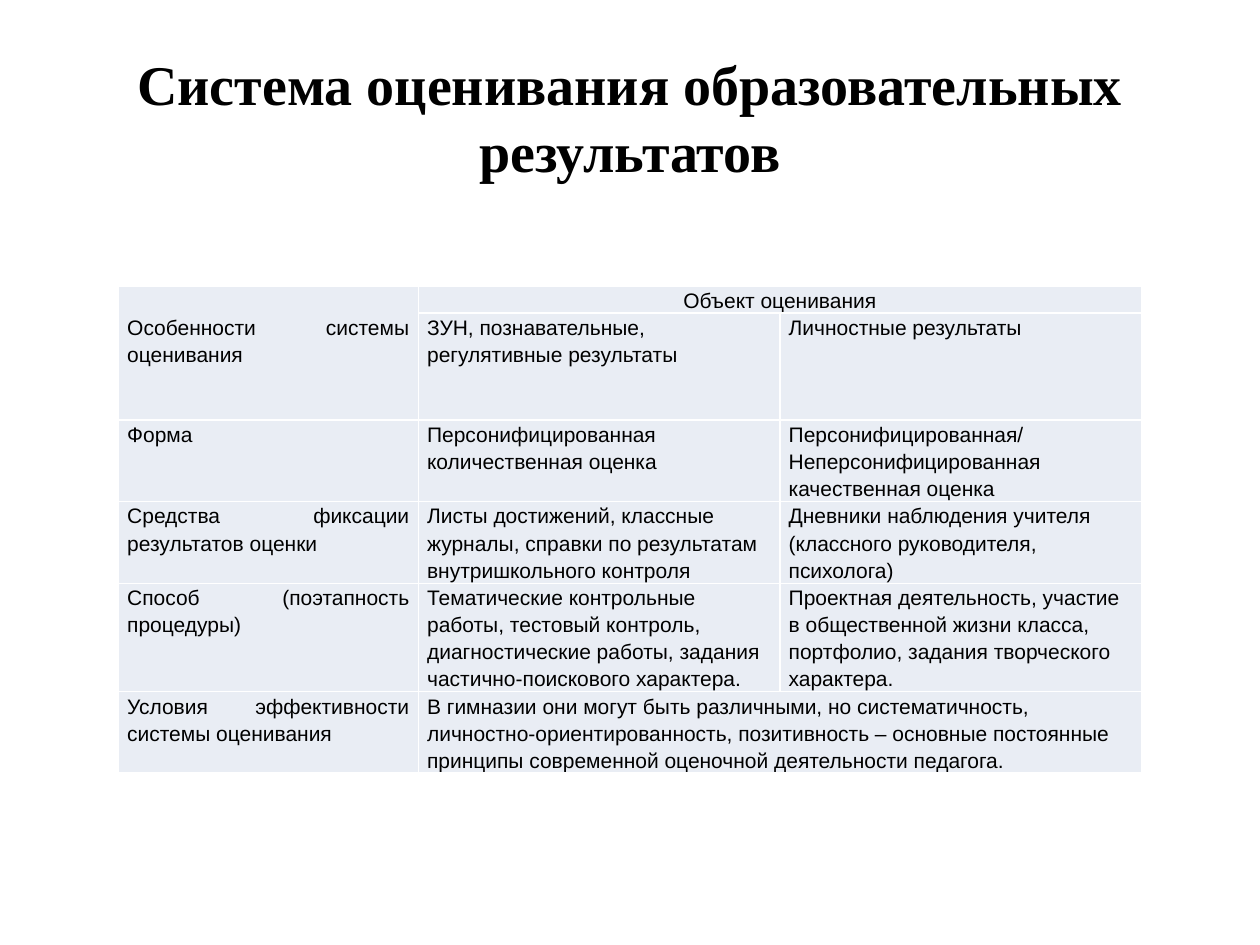
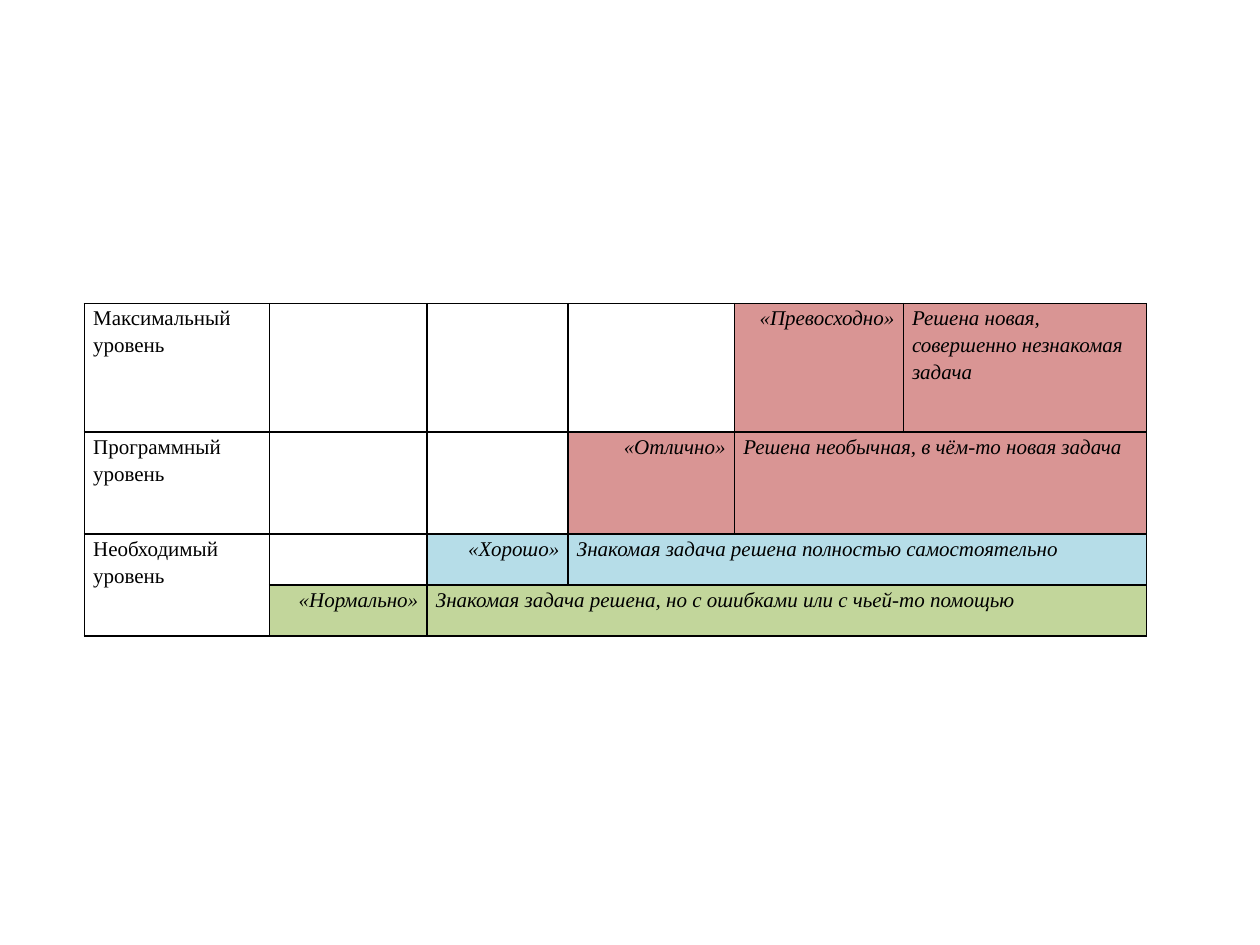
from dataclasses import dataclass
from itertools import product

from pptx import Presentation
from pptx.dml.color import RGBColor
from pptx.enum.text import MSO_ANCHOR as Anchor, MSO_AUTO_SIZE as AutoSize, PP_ALIGN as Align
from pptx.oxml import parse_xml
from pptx.oxml.ns import nsdecls
from pptx.util import Inches, Pt

COLORS = {
    "text": "000000",
    "white": "FFFFFF",
    "pale": "E9EDF4",
    "red": "D99594",
    "blue": "B6DDE8",
    "green": "C2D69B",
}
SERIF, SANS = "Times New Roman", "Arial"
GRID_COLUMNS, GRID_ROWS = 100, 75
TITLE_ONLY, BLANK = 5, 6


@dataclass
class Entry:
    """Content of a table cell, with the rows and columns it covers."""
    text: str
    fill: str = None
    rows: int = 1
    columns: int = 1
    align: Align = Align.LEFT
    italic: bool = False
    top: float = 0


def write_text(frame, text, *, font, size, bold=False, italic=False,
               align=Align.LEFT, line_spacing=1.0):
    """Fill a text frame; each line of the text becomes a paragraph."""
    frame.text = text
    for paragraph in frame.paragraphs:
        paragraph.alignment = align
        paragraph.line_spacing = line_spacing
        for run in paragraph.runs:
            run.font.name = font
            run.font.size = Pt(size)
            run.font.bold = bold
            run.font.italic = italic
            run.font.color.rgb = RGBColor.from_string(COLORS["text"])


class Deck:
    """Holds the presentation, its grid and the current slide."""

    def __init__(self):
        self.presentation = Presentation()
        self.presentation.slide_width = Inches(10)
        self.presentation.slide_height = Inches(7.5)
        self.slide = None

    def across(self, columns):
        return round(self.presentation.slide_width * columns / GRID_COLUMNS)

    def down(self, rows):
        return round(self.presentation.slide_height * rows / GRID_ROWS)

    def add_slide(self, layout):
        self.slide = self.presentation.slides.add_slide(
            self.presentation.slide_layouts[layout])
        background = self.slide.background.fill
        background.solid()
        background.fore_color.rgb = RGBColor.from_string(COLORS["white"])

    def title(self, text):
        title = self.slide.shapes.title
        title.left, title.top = self.across(5), self.down(3)
        title.width, title.height = self.across(90), self.down(12.5)
        frame = title.text_frame
        frame.word_wrap = True
        frame.auto_size = AutoSize.NONE
        frame.vertical_anchor = Anchor.MIDDLE
        write_text(frame, text, font=SERIF, size=32, bold=True, align=Align.CENTER)

    def table(self, left, top, widths, heights, entries, *, font, border):
        """Draw a table; entries maps (row, column) to an Entry."""
        table = self.slide.shapes.add_table(
            len(heights), len(widths), self.across(left), self.down(top),
            self.across(sum(widths)), self.down(sum(heights))).table
        table.first_row = table.horz_banding = False
        for column, width in zip(table.columns, widths):
            column.width = self.across(width)
        for row, height in zip(table.rows, heights):
            row.height = self.down(height)
        for row, column in product(range(len(heights)), range(len(widths))):
            cell = table.cell(row, column)
            self.border(cell, border)
            self.fill_cell(cell, entries.get((row, column), Entry("")), font)
        for (row, column), entry in entries.items():
            if entry.rows * entry.columns > 1:
                table.cell(row, column).merge(
                    table.cell(row + entry.rows - 1, column + entry.columns - 1))

    def fill_cell(self, cell, entry, font):
        cell.margin_left = cell.margin_right = self.across(0.7)
        cell.margin_top, cell.margin_bottom = self.down(entry.top), 0
        if entry.fill:
            cell.fill.solid()
            cell.fill.fore_color.rgb = RGBColor.from_string(COLORS[entry.fill])
        else:
            cell.fill.background()
        if entry.text:
            write_text(cell.text_frame, entry.text, font=font, size=12,
                       italic=entry.italic, align=entry.align, line_spacing=1.15)

    def border(self, cell, color):
        properties = cell._tc.get_or_add_tcPr()
        for side in "LRTB":
            properties.append(parse_xml(
                f'<a:ln{side} {nsdecls("a")} w="{Pt(1)}"><a:solidFill>'
                f'<a:srgbClr val="{COLORS[color]}"/></a:solidFill></a:ln{side}>'))


def assessment_entry(text, **options):
    return Entry(text, "pale", **options)


def add_assessment_system(deck):
    deck.add_slide(TITLE_ONLY)
    deck.title("Система оценивания образовательных результатов")
    entries = {
        (0, 0): assessment_entry("Особенности системы оценивания",
                                 rows=2, align=Align.JUSTIFY, top=2.1),
        (0, 1): assessment_entry("Объект оценивания", columns=2, align=Align.CENTER),
        (1, 1): assessment_entry("ЗУН, познавательные, регулятивные результаты"),
        (1, 2): assessment_entry("Личностные результаты"),
        (5, 0): assessment_entry("Условия эффективности системы оценивания",
                                 align=Align.JUSTIFY),
        (5, 1): assessment_entry(
            "В гимназии они могут быть различными, но систематичность, "
            "личностно-ориентированность, позитивность – основные постоянные "
            "принципы современной оценочной деятельности педагога.", columns=2),
    }
    features = [
        ("Форма",
         "Персонифицированная количественная оценка",
         "Персонифицированная/\nНеперсонифицированная качественная оценка"),
        ("Средства фиксации результатов оценки",
         "Листы достижений, классные журналы, справки по результатам "
         "внутришкольного контроля",
         "Дневники наблюдения учителя (классного руководителя, психолога)"),
        ("Способ (поэтапность процедуры)",
         "Тематические контрольные работы, тестовый контроль, диагностические "
         "работы, задания частично-поискового характера.",
         "Проектная деятельность, участие в общественной жизни класса, "
         "портфолио, задания творческого характера."),
    ]
    for row, (feature, knowledge, personal) in enumerate(features, start=2):
        entries[row, 0] = assessment_entry(feature, align=Align.JUSTIFY)
        entries[row, 1] = assessment_entry(knowledge)
        entries[row, 2] = assessment_entry(personal)
    deck.table(9.4, 22.7, [23.8, 28.7, 28.7], [2.1, 8.5, 6.4, 6.5, 8.6, 6.4],
               entries, font=SANS, border="white")


def add_success_levels(deck):
    deck.add_slide(BLANK)
    widths = [14.7, 12.5, 11.2, 13.2, 13.4, 19.3]
    entries = {
        (0, 0): Entry("Максимальный уровень"),
        (1, 0): Entry("Программный уровень"),
        (2, 0): Entry("Необходимый\nуровень", rows=2),
    }
    marks = [
        ("«Превосходно»", "Решена новая, совершенно незнакомая задача", "red"),
        ("«Отлично»", "Решена необычная, в чём-то новая задача", "red"),
        ("«Хорошо»", "Знакомая задача решена полностью самостоятельно", "blue"),
        ("«Нормально»", "Знакомая задача решена, но с ошибками или с чьей-то помощью",
         "green"),
    ]
    # Each mark stands one column further left than the one above it.
    for row, (mark, meaning, color) in enumerate(marks):
        column = len(marks) - row
        entries[row, column] = Entry(mark, color, align=Align.RIGHT, italic=True)
        entries[row, column + 1] = Entry(meaning, color, columns=row + 1, italic=True)
    deck.table(6.7, 24.1, widths, [10.2, 8.1, 4.05, 4.05], entries,
               font=SERIF, border="text")


def main():
    deck = Deck()
    add_assessment_system(deck)
    add_success_levels(deck)
    deck.presentation.save("out.pptx")


if __name__ == "__main__":
    main()
